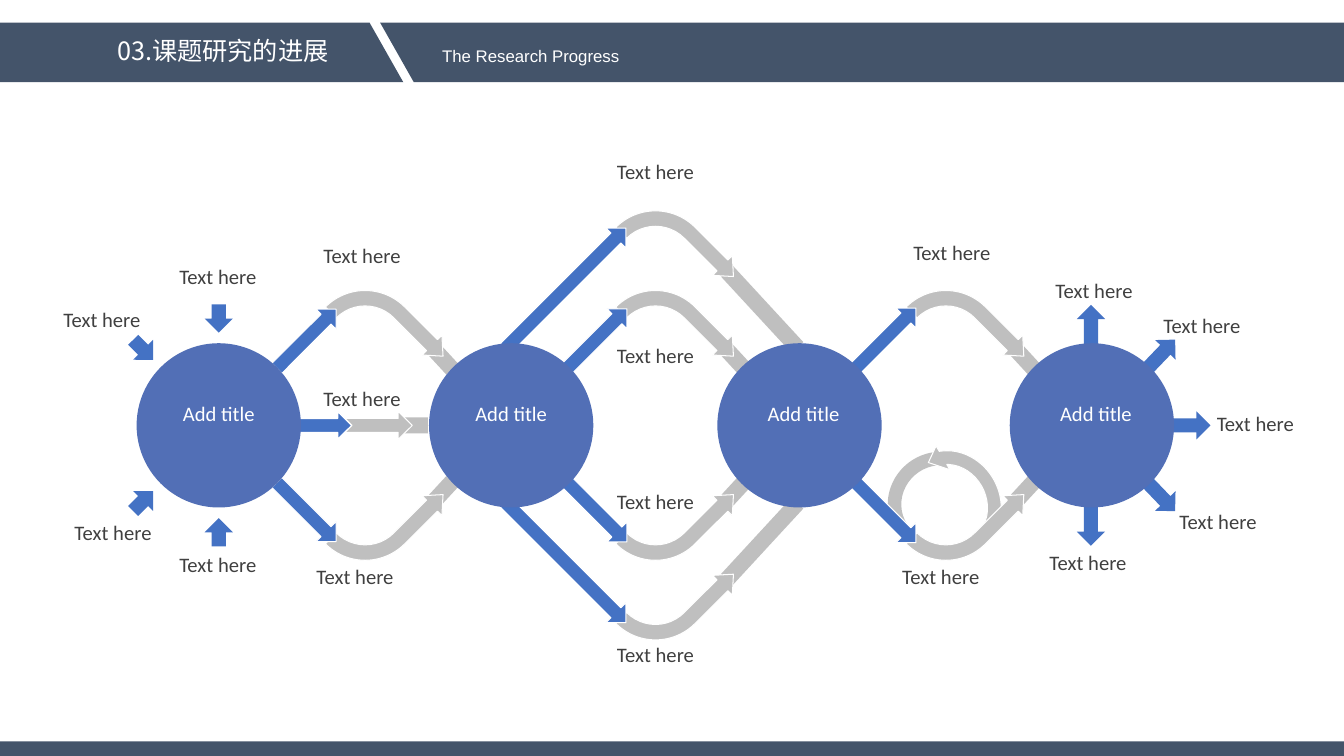
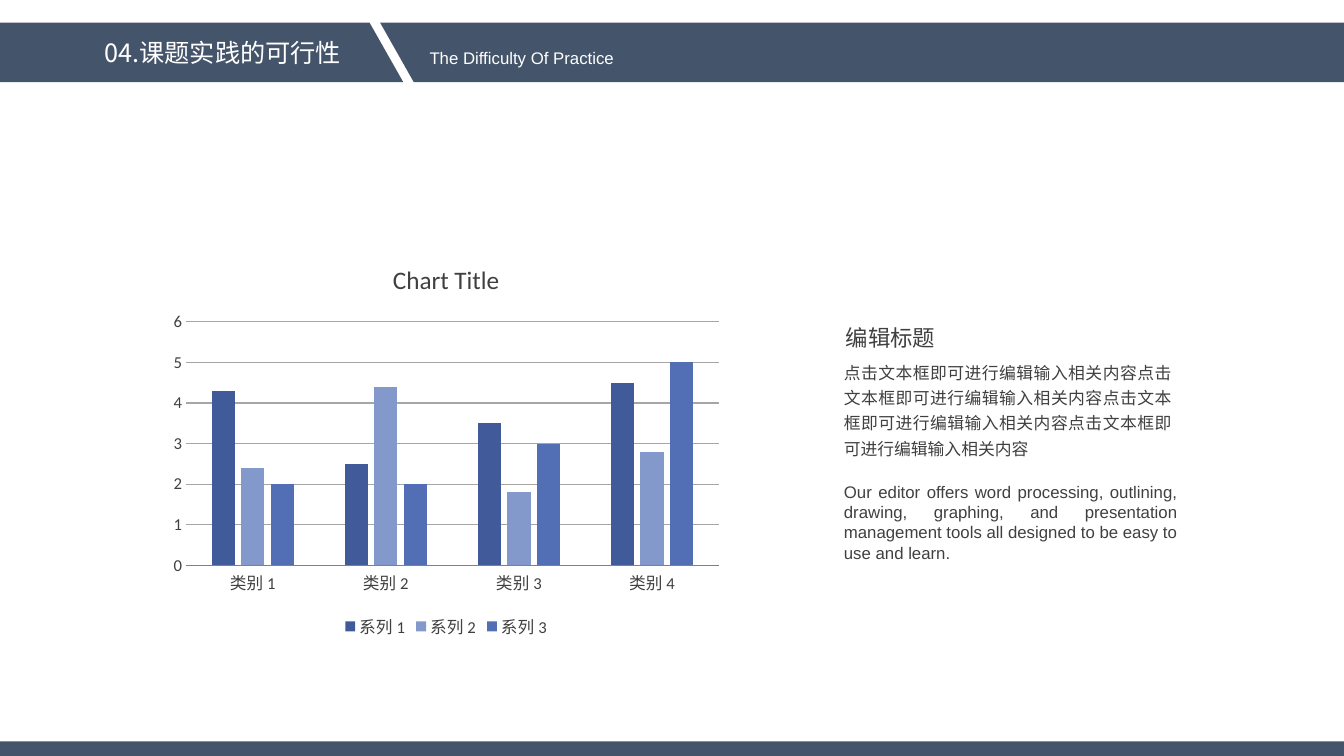
from lxml import etree
from pptx import Presentation
from pptx.chart.data import CategoryChartData
from pptx.dml.color import RGBColor
from pptx.enum.chart import XL_CHART_TYPE, XL_LEGEND_POSITION, XL_TICK_MARK
from pptx.enum.shapes import MSO_SHAPE
from pptx.enum.text import MSO_ANCHOR, PP_ALIGN
from pptx.oxml.ns import qn
from pptx.util import Inches, Pt

SLATE = RGBColor(0x44, 0x54, 0x6A)
BLUE = RGBColor(0x44, 0x72, 0xC4)
INDIGO = RGBColor(0x52, 0x6F, 0xB6)
NAVY = RGBColor(0x41, 0x5A, 0x99)
PALE = RGBColor(0x83, 0x98, 0xCB)
SILVER = RGBColor(0xBF, 0xBF, 0xBF)
GRID = RGBColor(0xA6, 0xA6, 0xA6)
AXIS = RGBColor(0x80, 0x80, 0x80)
INK = RGBColor(0x40, 0x40, 0x40)
WHITE = RGBColor(0xFF, 0xFF, 0xFF)
CJK = "Noto Sans CJK SC"

W, H = 13.33, 7.5
MID = 4.22      # centre row of the flow
STEP = 2.9      # column pitch of the flow

HEADING = {"name": CJK, "size": Pt(18), "color": WHITE, "bold": False}
SUBTITLE = {"name": "Arial", "size": Pt(12), "color": WHITE}
LABEL = {"name": "Calibri", "size": Pt(14.7), "color": INK}
NODE = LABEL | {"color": WHITE}


def shape(s, kind, cx, cy, w, h, fill, rot=0, line=None, adj=(), flip=""):
    """Add a preset shape by its centre; flip holds any of H and V."""
    sp = s.shapes.add_shape(kind, Inches(cx - w / 2), Inches(cy - h / 2), Inches(w), Inches(h))
    sp.shadow.inherit = False
    sp.rotation = rot % 360
    sp.fill.solid()
    sp.fill.fore_color.rgb = fill
    if line:
        sp.line.color.rgb = WHITE
        sp.line.width = Pt(line)
    else:
        sp.line.fill.background()
    for i, value in enumerate(adj):
        sp.adjustments[i] = value
    for axis in flip:
        sp.element.spPr.find(qn("a:xfrm")).set("flip" + axis, "1")
    return sp


def write(sp, box, text, fmt, align=PP_ALIGN.LEFT, wrap=True):
    """Place a text shape at box and fill it with one formatted paragraph."""
    sp.left, sp.top, sp.width, sp.height = (Inches(v) for v in box)
    tf = sp.text_frame
    tf.word_wrap = wrap
    tf.vertical_anchor = MSO_ANCHOR.TOP
    p = tf.paragraphs[0]
    p.alignment = align
    r = p.add_run()
    r.text = text
    for key, value in fmt.items():
        if key == "color":
            r.font.color.rgb = value
        else:
            setattr(r.font, key, value)
    etree.SubElement(r.font._element, qn("a:ea")).set("typeface", fmt["name"])
    return tf


prs = Presentation()
prs.slide_width, prs.slide_height = Inches(W), Inches(H)
layout = prs.slide_layouts[5]
for ph in list(layout.placeholders)[1:]:
    ph.element.getparent().remove(ph.element)

HEADS = [
    ("03.课题研究的进展", 0.3, "The Research Progress", 2.52),
    ("04.课题实践的可行性", 0.32, "The Difficulty Of Practice", 2.43),
]
slides = []
for title, top, subtitle, left in HEADS:
    s = prs.slides.add_slide(layout)
    write(s.shapes.title, (-0.5, top, 5.42, 0.4), title, HEADING, PP_ALIGN.CENTER)
    sp = s.shapes.add_textbox(0, 0, 0, 0)
    write(sp, (left, top + 0.1, 5.49, 0.3), subtitle, SUBTITLE, PP_ALIGN.CENTER)
    slides.append(s)

# The bands are built once and live on the layout
s = slides[0]
bands = [
    shape(s, MSO_SHAPE.PARALLELOGRAM, left + w / 2, 0.52, w, 0.59, SLATE, adj=[0.566], flip="V")
    for left, w in ((-0.5, 4.5), (3.77, 10.08))
]
bands.append(shape(s, MSO_SHAPE.RECTANGLE, W / 2, H - 0.07, W, 0.15, SLATE))
for i, band in enumerate(bands):
    layout.shapes._spTree.insert(2 + i, band.element)

# Slide 1: flow of four nodes, mirrored about the centre row
# Grey stubs: centre x, distance from the centre row, length
for cx, dy, length in ((4.4, 0.65, 0.25), (7.3, 0.65, 0.25), (10.17, 0.65, 0.25),
                       (7.56, 1.15, 1.03)):
    for side in (-1, 1):
        shape(s, MSO_SHAPE.RECTANGLE, cx, MID + side * dy, length, 0.16, SILVER, -side * 47.3)
shape(s, MSO_SHAPE.RECTANGLE, 4.12, MID, 0.25, 0.16, SILVER)

# Loop back before the last node
shape(s, MSO_SHAPE.BLOCK_ARC, 9.32, 4.99, 1.01, 1.04, SILVER, 236.4,
      adj=[158.98, 17.55, 0.133])
shape(s, MSO_SHAPE.CIRCULAR_ARROW, 9.44, 4.99, 1.2, 1.09, SILVER, 60, 0.75, flip="H")

for cx, dy in ((3.86, 0.98), (6.74, 0.98), (6.74, 1.77), (9.62, 0.98)):
    for rot, flip, side in ((225, "HV", -1), (315, "V", 1)):
        shape(s, MSO_SHAPE.BENT_ARROW, cx, MID + side * dy, 1.17, 0.62, SILVER, rot, 0.75,
              [0.247, 0.225, 0.25, 0.896], flip)

# Blue arrows: centre x, distance, length, rotation in the lower half, outline
ARROWS = [
    (1.42, 0.75, 0.28, 225, None),
    (2.17, 1.06, 0.28, 180, None),
    (3.04, 0.86, 0.83, 315, 0.75),
    (5.61, 1.36, 1.69, 315, 0.75),
    (5.92, 0.86, 0.84, 315, 0.75),
    (8.78, 0.86, 0.86, 315, 0.75),
    (10.82, 1, 0.39, 0, None),
    (11.52, 0.71, 0.39, 316.2, None),
]
for cx, dy, length, rot, line in ARROWS:
    for side, turn in ((-1, 180 - rot), (1, rot)):
        shape(s, MSO_SHAPE.DOWN_ARROW, cx, MID + side * dy, 0.28, length, BLUE, turn, line)
for cx, length, fill, line in ((3.74, 0.7, SILVER, 0.75), (3.2, 0.58, BLUE, 1),
                               (11.81, 0.39, BLUE, None)):
    shape(s, MSO_SHAPE.DOWN_ARROW, cx, MID, 0.28, length, fill, 270, line)

for i, cx in enumerate((2.17, 5.07, 7.93, 10.83)):
    shape(s, MSO_SHAPE.OVAL, cx, MID, 1.63, 1.63, INDIGO)
    write(s.shapes.add_textbox(0, 0, 0, 0), (1.71 + i * STEP, 3.93, 0.92, 0.35),
          "Add title", NODE, PP_ALIGN.CENTER, False)

# Labels: left edge and the tops that share it
LABELS = {
    0.53: [3], 0.64: [5.11], 1.68: [2.57, 5.43], 3.04: [5.54], 3.11: [2.36, 3.78],
    6.02: [1.53, 3.35, 4.8, 6.32], 8.85: [5.54], 8.96: [2.33], 10.31: [5.41],
    10.37: [2.71], 11.44: [3.06], 11.6: [5], 11.97: [4.03],
}
for left, tops in LABELS.items():
    for top in tops:
        write(s.shapes.add_textbox(0, 0, 0, 0), (left, top, 0.97, 0.35),
              "Text here", LABEL, wrap=False)

# Slide 2: chart on the left, text on the right
s = slides[1]
data = CategoryChartData()
data.categories = [f"类别 {n}" for n in range(1, 5)]
SERIES = [((4.3, 2.5, 3.5, 4.5), NAVY), ((2.4, 4.4, 1.8, 2.8), PALE), ((2, 2, 3, 5), INDIGO)]
for n, (values, _) in enumerate(SERIES, 1):
    data.add_series(f"系列 {n}", values)
chart = s.shapes.add_chart(XL_CHART_TYPE.COLUMN_CLUSTERED, Inches(1.61), Inches(2.43),
                           Inches(5.63), Inches(3.95), data).chart
chart.font.name, chart.font.size = "Calibri", Pt(11.9)
chart.font.color.rgb = INK

chart.has_title = True
chart.chart_title.include_in_layout = False
p = chart.chart_title.text_frame.paragraphs[0]
r = p.add_run()
r.text = "Chart Title"
for key, value in {"name": "Calibri", "size": Pt(18), "bold": False}.items():
    setattr(r.font, key, value)
r.font.color.rgb = INK

chart.has_legend = True
chart.legend.position = XL_LEGEND_POSITION.BOTTOM
chart.legend.include_in_layout = False

plot = chart.plots[0]
plot.gap_width, plot.overlap, plot.vary_by_categories = 219, -27, False
for series, (_, color) in zip(plot.series, SERIES):
    series.format.fill.solid()
    series.format.fill.fore_color.rgb = color

for axis in (chart.category_axis, chart.value_axis):
    axis.major_tick_mark = axis.minor_tick_mark = XL_TICK_MARK.NONE
chart.value_axis.format.line.fill.background()
chart.value_axis.has_major_gridlines = True
for line, color in ((chart.category_axis.format.line, AXIS),
                    (chart.value_axis.major_gridlines.format.line, GRID)):
    line.color.rgb = color
    line.width = Pt(0.75)

write(s.shapes.add_textbox(0, 0, 0, 0), (8.29, 3.17, 1.49, 0.37), "编辑标题",
      {"name": CJK, "size": Pt(16), "color": INK})
tf = write(s.shapes.add_textbox(0, 0, 0, 0), (8.27, 3.5, 3.45, 1.11),
           "点击文本框即可进行编辑输入相关内容" * 4,
           {"name": CJK, "size": Pt(12), "color": INK}, PP_ALIGN.JUSTIFY)
tf.paragraphs[0].line_spacing = 1.25
tf = write(s.shapes.add_textbox(0, 0, 0, 0), (8.37, 4.78, 3.31, 0.81),
           "Our editor offers word processing, outlining, drawing, graphing, and "
           "presentation management tools all designed to be easy to use and learn.",
           SUBTITLE | {"color": INK}, PP_ALIGN.JUSTIFY)
tf.margin_left = tf.margin_right = tf.margin_top = tf.margin_bottom = 0

prs.save("out.pptx")
